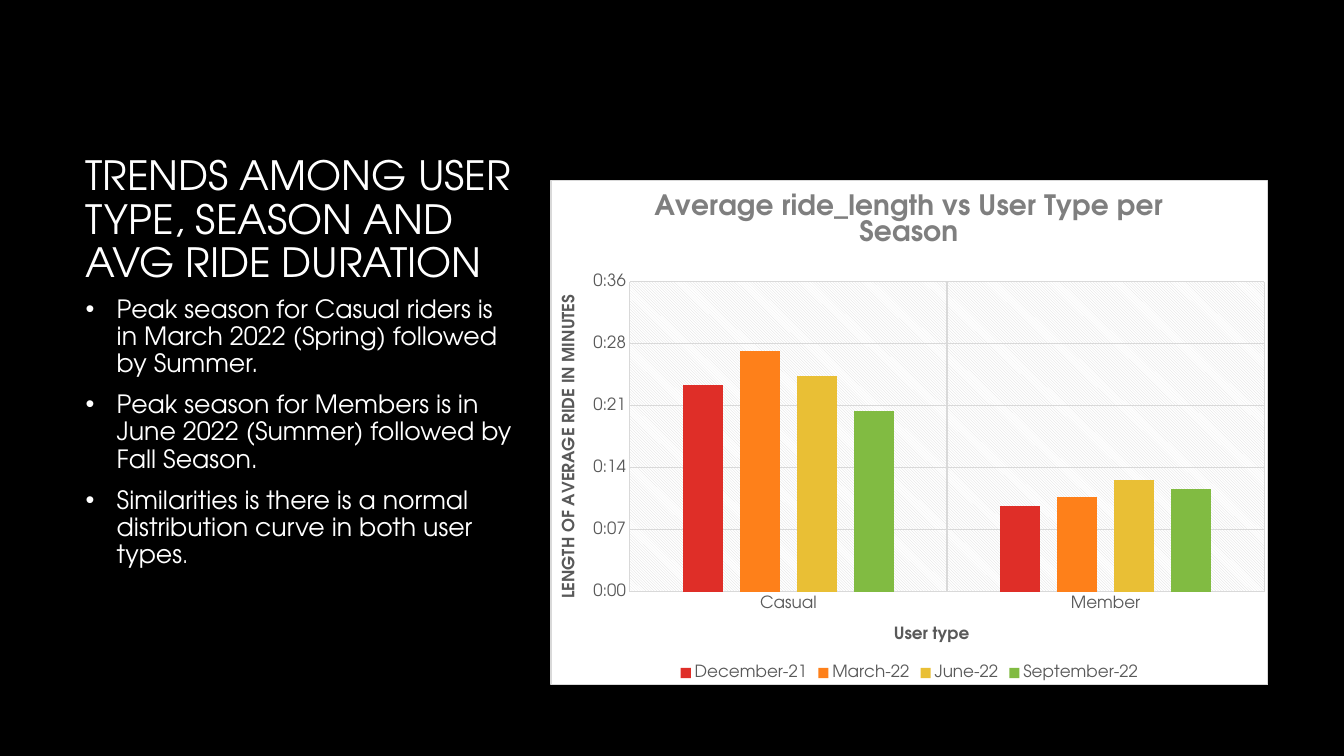
from lxml import etree
from pptx import Presentation
from pptx.chart.data import CategoryChartData
from pptx.dml.color import RGBColor
from pptx.enum.chart import XL_CHART_TYPE, XL_LEGEND_POSITION, XL_TICK_MARK
from pptx.enum.text import MSO_ANCHOR
from pptx.oxml import parse_xml
from pptx.oxml.ns import qn
from pptx.util import Inches, Pt

COLUMNS = XL_CHART_TYPE.COLUMN_CLUSTERED
BOTTOM_LEGEND = XL_LEGEND_POSITION.BOTTOM
NO_TICK = XL_TICK_MARK.NONE
BOTTOM = MSO_ANCHOR.BOTTOM

FONT = "TeX Gyre Adventor"
BLACK, WHITE, GRID = "000000", "FFFFFF", "D9D9D9"
TITLE_GRAY, LABEL_GRAY = "7F7F7F", "595959"
NAMESPACES = (
    'xmlns:c="http://schemas.openxmlformats.org/drawingml/2006/chart" '
    'xmlns:a="http://schemas.openxmlformats.org/drawingml/2006/main"'
)

HEADING = "TRENDS AMONG USER TYPE, SEASON AND AVG RIDE DURATION"
BULLETS = [
    [("Peak season for Casual riders is in March 2022 (Spring) followed by Summer.", 18)],
    [("Peak season for Members is in June 2022 (Summer) followed by Fall Season.", 18)],
    [("Similarities is there is a normal distribution curve in both user types", 18), (".", 16)],
]
CHART_TITLE = "Average ride_length vs User Type per Season"
CATEGORY_TITLE = "User type"
VALUE_TITLE = "LENGTH OF AVERAGE RIDE IN MINUTES"
USER_TYPES = ["Casual", "Member"]
SEASONS = [
    ("December-21", (0.0167, 0.0069), "DF2E28"),
    ("March-22", (0.0194, 0.0076), "FE801A"),
    ("June-22", (0.0174, 0.009), "E9BF35"),
    ("September-22", (0.0146, 0.0083), "81BB42"),
]
HEADING_BOX = (0.75, 1.67, 4.5, 1.22)
BULLETS_BOX = (0.75, 2.89, 4.5, 3.91)
CHART_BOX = (5.46, 1.79, 7.12, 5.01)
PLOT_LAYOUT = {"x": 0.11, "y": 0.2, "w": 0.885, "h": 0.615}


def color(hex_text):
    return RGBColor.from_string(hex_text)


def style_font(font, size, hex_text, bold=False):
    font.name = FONT
    font.size = Pt(size)
    font.bold = bold
    font.color.rgb = color(hex_text)


def add_run(paragraph, text, size, hex_text, bold=False):
    run = paragraph.add_run()
    run.text = text
    style_font(run.font, size, hex_text, bold)


def add_text_frame(slide, box):
    frame = slide.shapes.add_textbox(*map(Inches, box)).text_frame
    frame.word_wrap = True
    return frame


def add_bullet(paragraph):
    properties = paragraph._p.get_or_add_pPr()
    properties.set("marL", str(Inches(0.31)))
    properties.set("indent", str(-Inches(0.31)))
    etree.SubElement(properties, qn("a:buFont")).set("typeface", "Arial")
    etree.SubElement(properties, qn("a:buChar")).set("char", "•")


def make_layout(places, inner=False):
    target = '<c:layoutTarget val="inner"/>' if inner else ""
    modes = "".join(f'<c:{key}Mode val="edge"/>' for key in "xy")
    values = "".join(f'<c:{key} val="{value}"/>' for key, value in places.items())
    return parse_xml(
        f"<c:layout {NAMESPACES}><c:manualLayout>{target}{modes}{values}"
        "</c:manualLayout></c:layout>"
    )


def drop_layout(element):
    for layout in element.findall(qn("c:layout")):
        element.remove(layout)


def fill_title(title, text, size, hex_text, x, y, rotation=0):
    frame = title.text_frame
    add_run(frame.paragraphs[0], text, size, hex_text, True)
    element = title._element
    element.find(".//" + qn("a:bodyPr")).set("rot", str(rotation * 60000))
    drop_layout(element)
    element.find(qn("c:tx")).addnext(make_layout({"x": x, "y": y}))


def style_line(line):
    line.color.rgb = color(GRID)
    line.width = Pt(0.75)


def style_axis(axis):
    axis.major_tick_mark = axis.minor_tick_mark = NO_TICK
    axis.has_major_gridlines = True
    style_line(axis.major_gridlines.format.line)
    style_font(axis.tick_labels.font, 12, LABEL_GRAY)


def style_backgrounds(chart):
    space = chart._chartSpace
    plot_area = space.find(".//" + qn("c:plotArea"))
    drop_layout(plot_area)
    plot_area.insert(0, make_layout(PLOT_LAYOUT, inner=True))
    plot_area.append(parse_xml(
        f'<c:spPr {NAMESPACES}><a:pattFill prst="ltDnDiag">'
        f'<a:fgClr><a:srgbClr val="{GRID}"/></a:fgClr>'
        f'<a:bgClr><a:srgbClr val="{WHITE}"/></a:bgClr>'
        "</a:pattFill><a:ln><a:noFill/></a:ln></c:spPr>"
    ))
    space.find(qn("c:chart")).addnext(parse_xml(
        f'<c:spPr {NAMESPACES}><a:solidFill><a:srgbClr val="{WHITE}"/></a:solidFill>'
        f'<a:ln w="{Pt(0.75)}"><a:solidFill><a:srgbClr val="{GRID}"/></a:solidFill></a:ln></c:spPr>'
    ))


def add_ride_chart(slide):
    data = CategoryChartData(number_format="h:mm")
    data.categories = USER_TYPES
    for name, values, _ in SEASONS:
        data.add_series(name, values)
    chart = slide.shapes.add_chart(COLUMNS, *map(Inches, CHART_BOX), data).chart
    style_font(chart.font, 10, WHITE)
    fill_title(chart.chart_title, CHART_TITLE, 20, TITLE_GRAY, 0.137, 0.01)

    plot = chart.plots[0]
    plot.vary_by_categories = False
    plot.gap_width, plot.overlap = 267, -43
    for series, (_, _, fill) in zip(plot.series, SEASONS):
        series.format.fill.solid()
        series.format.fill.fore_color.rgb = color(fill)

    category_axis, value_axis = chart.category_axis, chart.value_axis
    for axis in (category_axis, value_axis):
        style_axis(axis)
    style_line(category_axis.format.line)
    value_axis.format.line.fill.background()
    value_axis.minimum_scale, value_axis.maximum_scale = 0, 0.025
    value_axis.major_unit = 0.005
    value_axis.tick_labels.number_format = "h:mm"
    value_axis.tick_labels.number_format_is_linked = False
    fill_title(category_axis.axis_title, CATEGORY_TITLE, 12, LABEL_GRAY, 0.474, 0.875)
    fill_title(value_axis.axis_title, VALUE_TITLE, 12, LABEL_GRAY, 0.008, 0.22, -90)

    chart.has_legend = True
    chart.legend.position = BOTTOM_LEGEND
    chart.legend.include_in_layout = False
    style_font(chart.legend.font, 12, LABEL_GRAY)
    style_backgrounds(chart)


def main():
    presentation = Presentation()
    presentation.slide_width, presentation.slide_height = Inches(13.33), Inches(7.5)
    slide = presentation.slides.add_slide(presentation.slide_layouts[6])
    slide.background.fill.solid()
    slide.background.fill.fore_color.rgb = color(BLACK)

    heading = add_text_frame(slide, HEADING_BOX)
    heading.vertical_anchor = BOTTOM
    heading.paragraphs[0].line_spacing = 0.9
    add_run(heading.paragraphs[0], HEADING, 28.8, WHITE)

    body = add_text_frame(slide, BULLETS_BOX)
    for index, runs in enumerate(BULLETS):
        paragraph = body.add_paragraph() if index else body.paragraphs[0]
        paragraph.line_spacing = 0.9
        paragraph.space_before = Pt(10)
        add_bullet(paragraph)
        for text, size in runs:
            add_run(paragraph, text, size, WHITE)

    add_ride_chart(slide)
    presentation.save("out.pptx")


if __name__ == "__main__":
    main()
